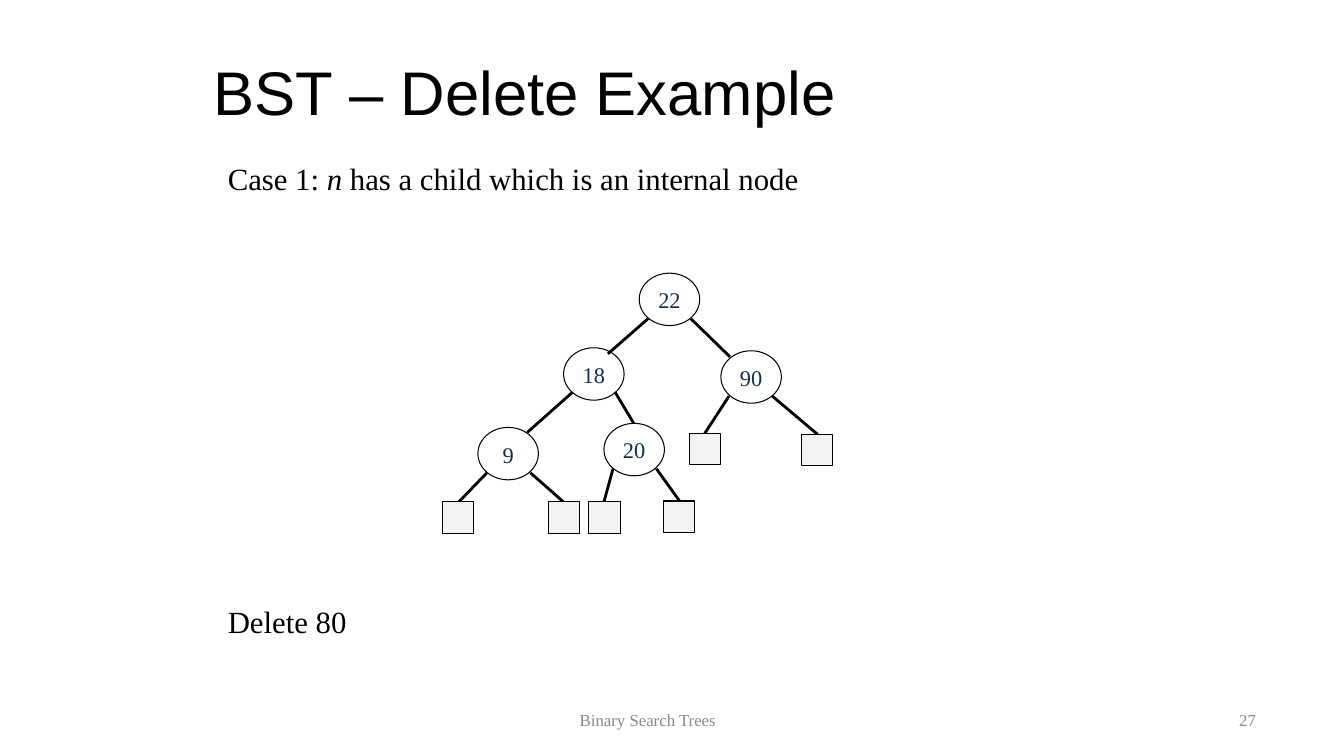
import pptx
import pptx.util
import pptx.dml.color
import pptx.enum.shapes
import pptx.enum.text
import lxml.etree

PX = 9144  # 100 px to the inch
INK = {"black": "000000", "navy": "132E51", "grey": "898989",
       "white": "FFFFFF", "leaf": "F2F2F2"}
SERIF = "Times New Roman"
KIND = pptx.enum.shapes.MSO_SHAPE
ALIGN = pptx.enum.text.PP_ALIGN
rgb = pptx.dml.color.RGBColor.from_string

deck = pptx.Presentation()
deck.slide_width, deck.slide_height = 1333 * PX, 750 * PX
slide = deck.slides.add_slide(deck.slide_layouts[6])
shapes = slide.shapes


def write(frame, runs, size, ink, font=SERIF):
    """Fill a frame with one paragraph of (text, italic) runs."""
    frame.margin_left = frame.margin_right = frame.margin_bottom = 0
    frame.margin_top = PX
    para = frame.paragraphs[0]
    for text, slant in runs:
        run = para.add_run()
        run.text = text
        run.font.size = pptx.util.Pt(size)
        run.font.name = font
        run.font.italic = slant
        run.font.color.rgb = rgb(INK[ink])
    return para


def draw(kind, x, y, w, h, fill):
    """Add an outlined shape, hollow when fill is None."""
    shape = shapes.add_shape(kind, x * PX, y * PX, w * PX, h * PX)
    shape.shadow.inherit = False
    if fill:
        shape.fill.solid()
        shape.fill.fore_color.rgb = rgb(INK[fill])
    else:
        shape.fill.background()
    shape.line.color.rgb = rgb(INK["black"])
    shape.line.width = pptx.util.Pt(0.75)
    return shape


# Title, body lines, footer and page number
case = [("Case 1: ", False), ("n ", True),
        ("has a child which is an internal node", False)]
texts = [
    (212, 53, 1039, 76, [("BST – Delete Example", False)], 44, "black", "Arial"),
    (226, 157, 620, 39, case, 22, "black", SERIF),
    (226, 597, 150, 39, [("Delete 80", False)], 22, "black", SERIF),
    (575, 705, 184, 20, [("Binary Search Trees", False)], 12, "grey", SERIF),
    (1229, 705, 31, 20, [("27", False)], 12, "grey", SERIF),
]
for x, y, w, h, runs, size, ink, font in texts:
    box = shapes.add_textbox(x * PX, y * PX, w * PX, h * PX)
    box.text_frame.word_wrap = True
    para = write(box.text_frame, runs, size, ink, font)
    if ink == "grey":
        box.text_frame.margin_top = 0
        para.line_spacing = pptx.util.Pt(14.1)
    else:
        para.space_before = pptx.util.Pt(1)

# Tree edges
edges = [
    (643, 316, 603, 351), (685, 316, 724, 354),
    (568, 389, 523, 429), (610, 389, 634, 429),
    (483, 469, 455, 498), (526, 469, 559, 498),
    (723, 393, 699, 430), (766, 393, 811, 431),
    (608, 465, 599, 498), (651, 465, 674, 497),
]
for ends in edges:
    edge = shapes.add_connector(pptx.enum.shapes.MSO_CONNECTOR.STRAIGHT,
                                *(n * PX for n in ends))
    edge.line.color.rgb = rgb(INK["black"])
    edge.line.width = pptx.util.Pt(2)
    lxml.etree.SubElement(edge._element.spPr, pptx.oxml.ns.qn("a:effectLst"))

# Empty leaves
for x, y in [(439, 498), (544, 498), (584, 498), (658, 497),
             (684, 430), (795, 431)]:
    draw(KIND.RECTANGLE, x, y, 31, 31, "leaf")

# Internal nodes
nodes = [("22", 634, 271, None), ("18", 559, 345, None),
         ("9", 474, 424, "white"), ("90", 715, 348, "white"),
         ("20", 599, 420, "white")]
for key, x, y, fill in nodes:
    node = draw(KIND.OVAL, x, y, 60, 52, fill)
    frame = node.text_frame
    frame.word_wrap = False
    frame.vertical_anchor = pptx.enum.text.MSO_ANCHOR.MIDDLE
    write(frame, [(key, False)], 16, "navy").alignment = ALIGN.CENTER

deck.save("out.pptx")
